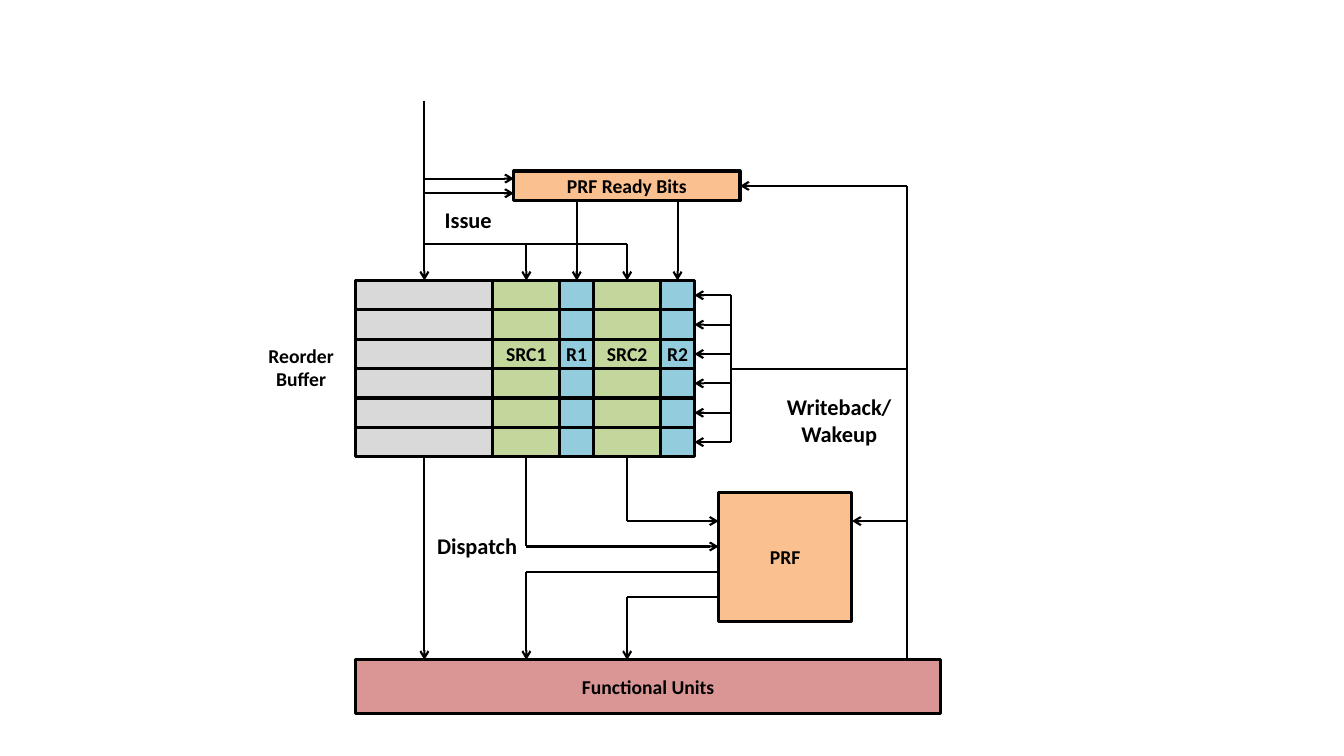
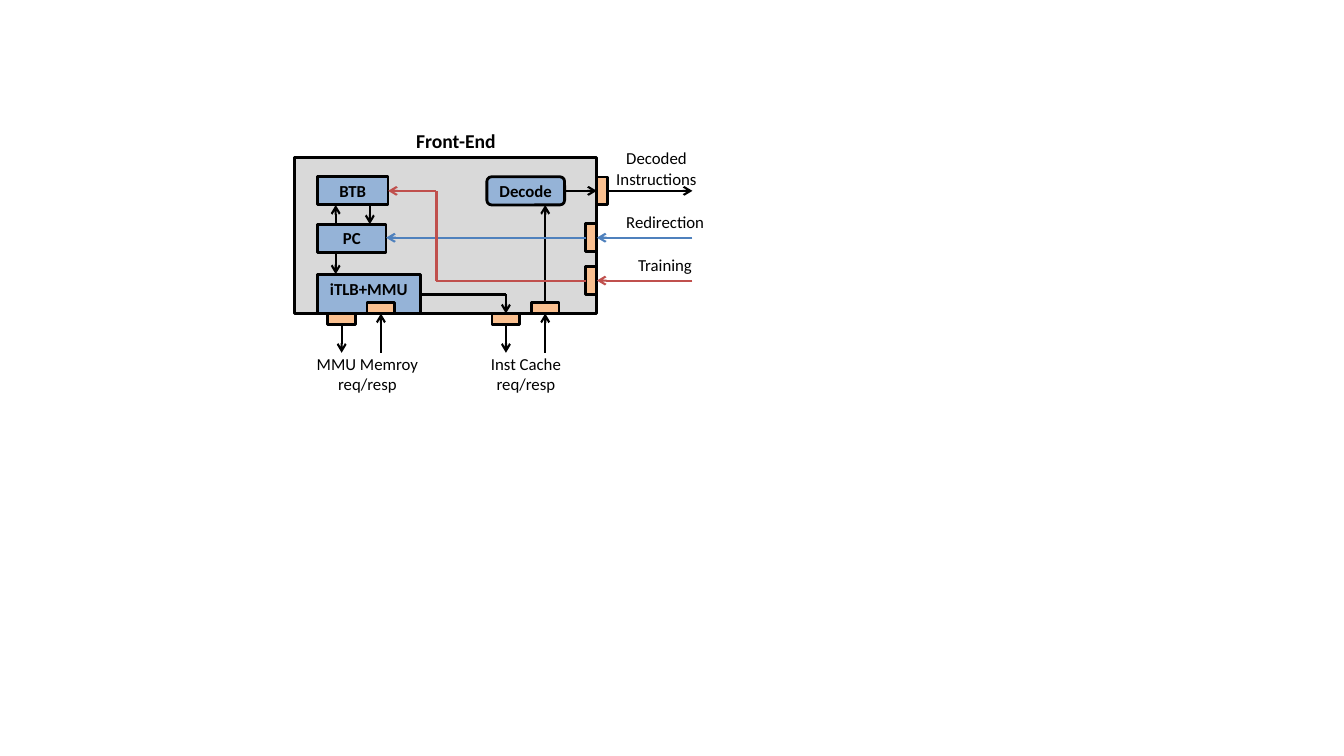
import pptx
import pptx.dml.color
import pptx.enum.shapes
import pptx.enum.text
import pptx.oxml.ns
import pptx.util
from lxml import etree

Cm = pptx.util.Cm
Pt = pptx.util.Pt
SHAPES = pptx.enum.shapes.MSO_SHAPE
ANCHORS = pptx.enum.text.MSO_ANCHOR
qn = pptx.oxml.ns.qn


def color(hex_string):
    return pptx.dml.color.RGBColor.from_string(hex_string)


class Diagram:
    """Shared style of the diagrams, and the slide being drawn."""

    FONT = "Calibri"
    BLACK = "000000"
    GRAY = "D9D9D9"
    GREEN = "C3D69B"
    AQUA = "93CDDD"
    ORANGE = "FAC090"
    ROSE = "D99694"
    STEEL = "95B3D7"
    BLUE = "4F81BD"
    RED = "C0504D"

    def __init__(self):
        self.presentation = pptx.Presentation()
        self.presentation.slide_width = Cm(33.87)
        self.presentation.slide_height = Cm(19.05)
        self.slide = None

    def new_slide(self):
        layout = self.presentation.slide_layouts[6]
        self.slide = self.presentation.slides.add_slide(layout)

    def set_text(self, shape, text, size, bold, anchor):
        frame = shape.text_frame
        frame.word_wrap = True
        frame.margin_left = frame.margin_right = 0
        frame.vertical_anchor = anchor
        frame.text = text
        for paragraph in frame.paragraphs:
            paragraph.alignment = pptx.enum.text.PP_ALIGN.CENTER
            paragraph.font.name = self.FONT
            paragraph.font.size = Pt(size)
            paragraph.font.bold = bold
            paragraph.font.color.rgb = color(self.BLACK)

    def box(self, left, top, width, height, fill, text="", size=14,
            border=2.25, kind=SHAPES.RECTANGLE, anchor=ANCHORS.MIDDLE):
        shape = self.slide.shapes.add_shape(
            kind, Cm(left), Cm(top), Cm(width), Cm(height))
        shape.shadow.inherit = False
        shape.fill.solid()
        shape.fill.fore_color.rgb = color(fill)
        shape.line.color.rgb = color(self.BLACK)
        shape.line.width = Pt(border)
        if text:
            self.set_text(shape, text, size, True, anchor)

    def label(self, text, left, top, width, height, size, bold=True):
        shape = self.slide.shapes.add_textbox(
            Cm(left), Cm(top), Cm(width), Cm(height))
        self.set_text(shape, text, size, bold, ANCHORS.TOP)

    def wire(self, *points, stroke=BLACK, arrow=True):
        """Join the points with straight lines; the last may end in an arrow."""
        for start, end in zip(points, points[1:]):
            connector = self.slide.shapes.add_connector(
                pptx.enum.shapes.MSO_CONNECTOR.STRAIGHT,
                Cm(start[0]), Cm(start[1]), Cm(end[0]), Cm(end[1]))
            connector.line.color.rgb = color(stroke)
            connector.line.width = Pt(1.5)
            properties = connector.element.spPr
            etree.SubElement(properties, qn("a:effectLst"))
        if arrow:
            line = properties.find(qn("a:ln"))
            etree.SubElement(line, qn("a:tailEnd"), type="arrow")


def draw_reorder_buffer(diagram):
    diagram.new_slide()

    # Reorder buffer grid
    left, top, row_height, row_count = 8.97, 7.07, 0.74, 6
    bottom = top + row_count * row_height
    columns = [("", 3.45, diagram.GRAY),
               ("SRC1", 1.69, diagram.GREEN), ("R1", 0.85, diagram.AQUA),
               ("SRC2", 1.69, diagram.GREEN), ("R2", 0.85, diagram.AQUA)]
    centers = []
    right = left
    for name, width, fill in columns:
        for row in range(row_count):
            diagram.box(right, top + row * row_height, width, row_height,
                        fill, name if row == 2 else "")
        centers.append(right + width / 2)
        right += width
    entry, source1, ready1, source2, ready2 = centers

    # Register file and functional units
    bits_left, bits_top, bits_width, bits_height = 12.95, 4.31, 5.7, 0.75
    file_left, file_width = 18.11, 3.36
    units_top = 16.63
    diagram.box(bits_left, bits_top, bits_width, bits_height,
                diagram.ORANGE, "PRF Ready Bits")
    diagram.box(file_left, 12.42, file_width, 3.24, diagram.ORANGE, "PRF")

    # Issue
    issue_y = 6.15
    diagram.wire((entry, 2.54), (entry, top))
    diagram.wire((entry, issue_y), (source2, issue_y), (source2, top))
    diagram.wire((source1, issue_y), (source1, top))
    for x in (ready1, ready2):
        diagram.wire((x, bits_top + bits_height), (x, top))
    for y in (4.5, 4.87):
        diagram.wire((entry, y), (bits_left, y))

    # Dispatch
    port_ys = [13.13 + 0.64 * port for port in range(4)]
    diagram.wire((entry, bottom), (entry, units_top))
    for x, y in zip((source2, source1), port_ys):
        diagram.wire((x, bottom), (x, y), (file_left, y))
    for x, y in zip((source1, source2), port_ys[2:]):
        diagram.wire((file_left, y), (x, y), (x, units_top))

    # Writeback and wakeup
    bus_x, wakeup_x = 22.86, 18.42
    bits_y = bits_top + bits_height / 2
    middle = (top + bottom) / 2
    row_ys = [top + (row + 0.5) * row_height for row in range(row_count)]
    diagram.wire((bus_x, units_top), (bus_x, bits_y),
                 (bits_left + bits_width, bits_y))
    diagram.wire((bus_x, port_ys[0]), (file_left + file_width, port_ys[0]))
    diagram.wire((wakeup_x, middle), (bus_x, middle), arrow=False)
    diagram.wire((wakeup_x, row_ys[0]), (wakeup_x, row_ys[-1]), arrow=False)
    for y in row_ys:
        diagram.wire((wakeup_x, y), (right, y))

    diagram.box(left, units_top, 14.73, 1.36, diagram.ROSE,
                "Functional Units")

    # Labels
    diagram.label("Reorder Buffer", 6.22, 8.53, 2.74, 1.44, 14)
    diagram.label("Issue", 10.95, 5.08, 1.7, 0.94, 16)
    diagram.label("Dispatch", 10.74, 13.28, 2.57, 0.94, 16)
    diagram.label("Writeback/\nWakeup", 19.46, 9.78, 3.38, 1.63, 16)


def draw_front_end(diagram):
    diagram.new_slide()
    left, top, width, height = 7.42, 3.96, 7.62, 3.94
    right, bottom = left + width, top + height
    port_length, port_depth = 0.7, 0.28
    decode_y, redirect_y, training_y = 4.81, 5.99, 7.07
    outside_x, outside_y = 17.45, 8.89

    diagram.box(left, top, width, height, diagram.GRAY)

    # Blocks
    block_left, block_height = 8, 0.71
    block_top = decode_y - block_height / 2
    block_bottom = block_top + block_height
    predictor_width, counter_width = 1.78, 1.73
    decode_left, decode_width = 12.27, 1.96
    counter_top, counter_bottom = 5.65, 6.36
    mmu_top, mmu_width = 6.91, 2.59
    small = {"size": 12, "border": 2}
    diagram.box(block_left, block_top, predictor_width, block_height,
                diagram.STEEL, "BTB", **small)
    diagram.box(block_left, counter_top, counter_width,
                counter_bottom - counter_top, diagram.STEEL, "PC", **small)
    diagram.box(decode_left, block_top, decode_width, block_height,
                diagram.STEEL, "Decode", kind=SHAPES.ROUNDED_RECTANGLE,
                **small)
    diagram.box(block_left, mmu_top, mmu_width, bottom - mmu_top,
                diagram.STEEL, "iTLB+MMU", anchor=ANCHORS.TOP, **small)

    # Ports on the right side
    port_left = right - port_depth
    for x, y in ((right, decode_y), (port_left, redirect_y),
                 (port_left, training_y)):
        diagram.box(x, y - port_length / 2, port_depth, port_length,
                    diagram.ORANGE, border=2)

    # Request and response ports on the bottom side
    cache_request, cache_response = 12.75, 13.74
    for request, response in ((8.61, 9.6), (cache_request, cache_response)):
        for x, y in ((request, bottom), (response, bottom - port_depth)):
            diagram.box(x - port_length / 2, y, port_length, port_depth,
                        diagram.ORANGE, border=2)
        diagram.wire((request, bottom + port_depth), (request, outside_y))
        diagram.wire((response, outside_y), (response, bottom))

    # Inner wires
    fetch_x, predict_x, turn_y = 8.46, 9.32, 7.42
    diagram.wire((decode_left + decode_width, decode_y), (right, decode_y))
    diagram.wire((fetch_x, counter_top), (fetch_x, block_bottom))
    diagram.wire((predict_x, block_bottom), (predict_x, counter_top))
    diagram.wire((fetch_x, counter_bottom), (fetch_x, mmu_top))
    diagram.wire((block_left + mmu_width, turn_y), (cache_request, turn_y),
                 (cache_request, bottom))
    diagram.wire((cache_response, bottom - port_depth),
                 (cache_response, block_bottom))

    # Decoded output, redirection and training
    training_x = 11
    diagram.wire((right + port_depth, decode_y), (outside_x, decode_y))
    for y, stroke in ((redirect_y, diagram.BLUE), (training_y, diagram.RED)):
        diagram.wire((outside_x, y), (right, y), stroke=stroke)
    diagram.wire((port_left, redirect_y),
                 (block_left + counter_width, redirect_y),
                 stroke=diagram.BLUE)
    diagram.wire((port_left, training_y), (training_x, training_y),
                 (training_x, decode_y),
                 (block_left + predictor_width, decode_y),
                 stroke=diagram.RED)

    # Labels
    diagram.label("Front-End", 10.22, 3.12, 2.54, 0.86, 14)
    for text, x, y, label_width, label_height in (
            ("Decoded Instructions", 15.11, 3.61, 2.87, 1.27),
            ("Redirection", 15.52, 5.2, 2.49, 0.76),
            ("Training", 15.82, 6.3, 1.88, 0.76),
            ("MMU Memroy req/resp", 7.47, 8.78, 3.58, 1.27),
            ("Inst Cache req/resp", 11.96, 8.78, 2.59, 1.27)):
        diagram.label(text, x, y, label_width, label_height, 12, bold=False)


def main():
    diagram = Diagram()
    draw_reorder_buffer(diagram)
    draw_front_end(diagram)
    diagram.presentation.save("out.pptx")


if __name__ == "__main__":
    main()
